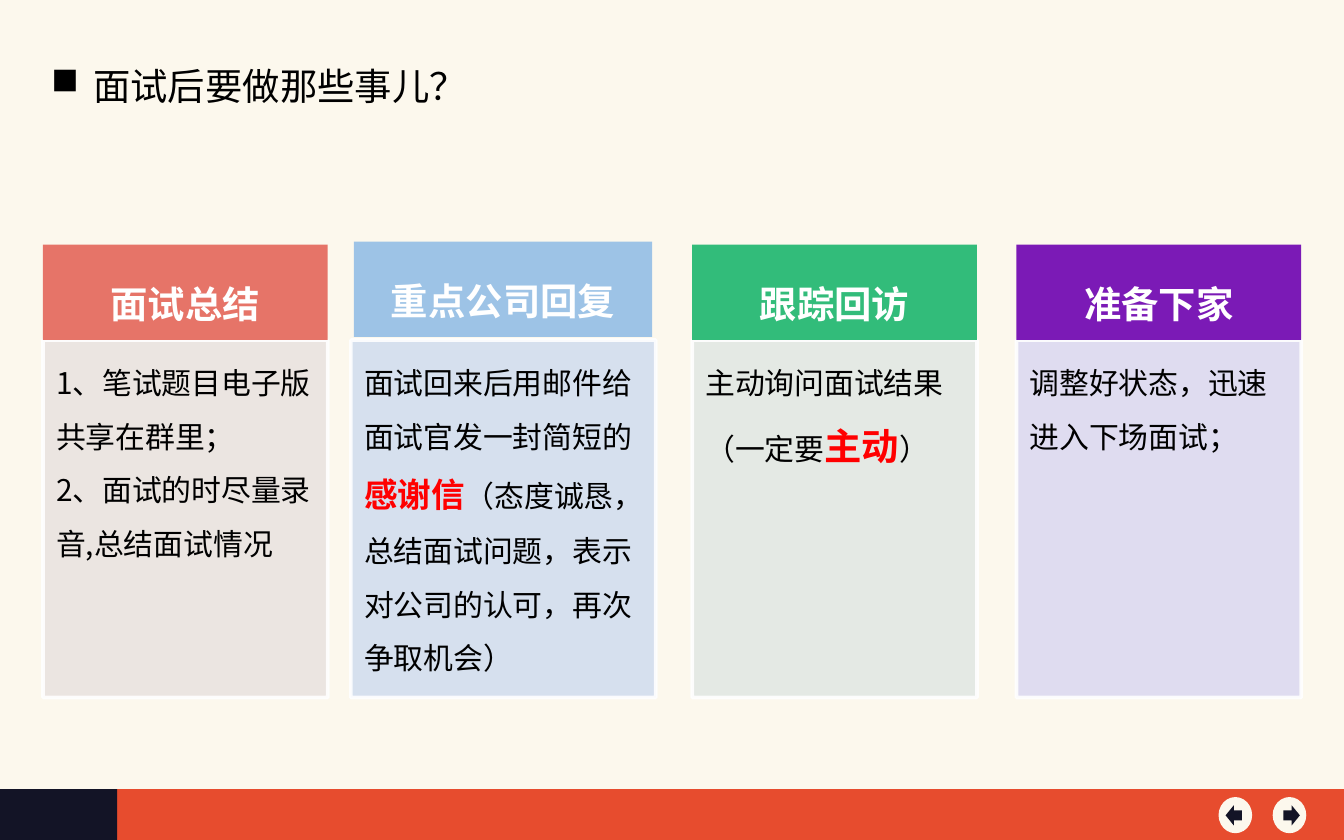
from lxml.etree import SubElement
from pptx import Presentation
from pptx.dml.color import RGBColor
from pptx.enum.shapes import MSO_SHAPE
from pptx.enum.text import MSO_ANCHOR, MSO_AUTO_SIZE, PP_ALIGN
from pptx.oxml.ns import qn
from pptx.util import Pt

FONT = "Noto Sans CJK SC"
COLORS = {
    "cream": "FCF8ED", "orange": "E74C2E", "navy": "131426",
    "white": "FFFFFF", "black": "000000", "red": "FF0000",
    "coral": "E67468", "coral_pale": "EAE4E0",
    "blue": "9DC3E6", "blue_pale": "D2DEEF",
    "green": "32BC7A", "green_pale": "E2E8E4",
    "purple": "7B1AB6", "purple_pale": "DCD9F1",
}
WIDTH, HEIGHT = 720, 450
CARD_TOP, HEADER_HEIGHT, BODY_HEIGHT = 182.2, 51.1, 191.5

# Header, colour, header box (left, top, width), body box (left, width), and
# body paragraphs as lists of (text, size, emphasised).
CARDS = [
    ("面试总结", "coral", (23, 131, 152.6), (23, 152.6), [
        [("1、笔试题目电子版共享在群里；", 16, False)],
        [("2、面试的时尽量录音,总结面试情况", 16, False)]]),
    ("重点公司回复", "blue", (189.6, 129.4, 159.8), (188, 163.4), [
        [("面试回来后用邮件给面试官发一封简短的", 16, False),
         ("感谢信", 18, True),
         ("（态度诚恳，总结面试问题，表示对公司的认可，再次争取机会）", 16, False)]]),
    ("跟踪回访", "green", (370.8, 131, 152.6), (370.8, 152.6), [
        [("主动询问面试结果（一定要", 16, False),
         ("主动", 20, True),
         ("）", 16, False)]]),
    ("准备下家", "purple", (544.5, 131, 152.6), (544.5, 152.6), [
        [("调整好状态，迅速进入下场面试；", 16, False)]]),
]


def rgb(name):
    return RGBColor.from_string(COLORS[name])


def set_alpha(fill_format_parent, percent):
    """Make every solid colour under the given XML element translucent."""
    for color in fill_format_parent.iter(qn("a:srgbClr")):
        SubElement(color, qn("a:alpha"), val=str(percent * 1000))


def add_block(slide, preset, left, top, width, height, color):
    block = slide.shapes.add_shape(
        preset, Pt(left), Pt(top), Pt(width), Pt(height))
    block.shadow.inherit = False
    block.fill.solid()
    block.fill.fore_color.rgb = rgb(color)
    block.line.fill.background()
    return block


def format_run(run, size, color, bold=False):
    run.font.name = FONT
    run.font.size = Pt(size)
    run.font.bold = bold
    run.font.color.rgb = rgb(color)
    SubElement(run.font._element, qn("a:ea"), typeface=FONT)


def place_title(slide, left, top, width, height):
    title = slide.shapes.title
    title.left, title.top = Pt(left), Pt(top)
    title.width, title.height = Pt(width), Pt(height)
    frame = title.text_frame
    frame.text = "面试后要做那些事儿？"
    frame.word_wrap = False
    frame.auto_size = MSO_AUTO_SIZE.NONE
    frame.vertical_anchor = MSO_ANCHOR.TOP
    paragraph = frame.paragraphs[0]
    paragraph.alignment = PP_ALIGN.LEFT
    properties = paragraph._p.get_or_add_pPr()
    properties.set("marL", str(Pt(22.5)))
    properties.set("indent", str(-Pt(22.5)))
    SubElement(properties, qn("a:buChar"), char="■")
    format_run(paragraph.runs[0], 20, "black")


def add_card_header(slide, left, top, width, height, text, color):
    header = add_block(
        slide, MSO_SHAPE.RECTANGLE, left, top, width, height, color)
    header.text_frame.text = text
    header.text_frame.vertical_anchor = MSO_ANCHOR.MIDDLE
    paragraph = header.text_frame.paragraphs[0]
    paragraph.alignment = PP_ALIGN.CENTER
    paragraph.line_spacing = 1.5
    format_run(paragraph.runs[0], 20, "white", bold=True)


def add_card_body(slide, left, top, width, height, paragraphs, color):
    body = add_block(
        slide, MSO_SHAPE.RECTANGLE, left, top, width, height, color)
    body.line.color.rgb = rgb("white")
    body.line.width = Pt(2)
    set_alpha(body._element.spPr, 90)
    frame = body.text_frame
    frame.word_wrap = True
    frame.vertical_anchor = MSO_ANCHOR.TOP
    for index, parts in enumerate(paragraphs):
        paragraph = frame.add_paragraph() if index else frame.paragraphs[0]
        paragraph.alignment = PP_ALIGN.LEFT
        paragraph.line_spacing = 1.5
        for text, size, emphasised in parts:
            run = paragraph.add_run()
            run.text = text
            format_run(run, size, "red" if emphasised else "black", emphasised)


def add_footer(slide, left, top, width, height):
    add_block(slide, MSO_SHAPE.RECTANGLE, left, top, width, height, "orange")
    add_block(slide, MSO_SHAPE.RECTANGLE, left, top, 62.8, height, "navy")
    right = left + width
    for arrow, button_offset, arrow_offset in (
            (MSO_SHAPE.LEFT_ARROW, 67.2, 63.4),
            (MSO_SHAPE.RIGHT_ARROW, 38.2, 32.4)):
        add_block(slide, MSO_SHAPE.OVAL, right - button_offset, top + 4.2,
                  18, 19.4, "cream")
        add_block(slide, arrow, right - arrow_offset, top + 8.6,
                  8.8, 10.8, "navy")


def main():
    deck = Presentation()
    deck.slide_width, deck.slide_height = Pt(WIDTH), Pt(HEIGHT)
    slide = deck.slides.add_slide(deck.slide_layouts.get_by_name("Title Only"))
    slide.background.fill.solid()
    slide.background.fill.fore_color.rgb = rgb("cream")

    place_title(slide, 20.2, 30.2, 239, 31.7)
    for header, color, header_box, (left, width), paragraphs in CARDS:
        add_card_body(slide, left, CARD_TOP, width, BODY_HEIGHT,
                      paragraphs, color + "_pale")
        add_card_header(slide, *header_box, HEADER_HEIGHT, header, color)
    add_footer(slide, 0, 422.8, WIDTH, HEIGHT - 422.8)
    deck.save("out.pptx")


if __name__ == "__main__":
    main()
